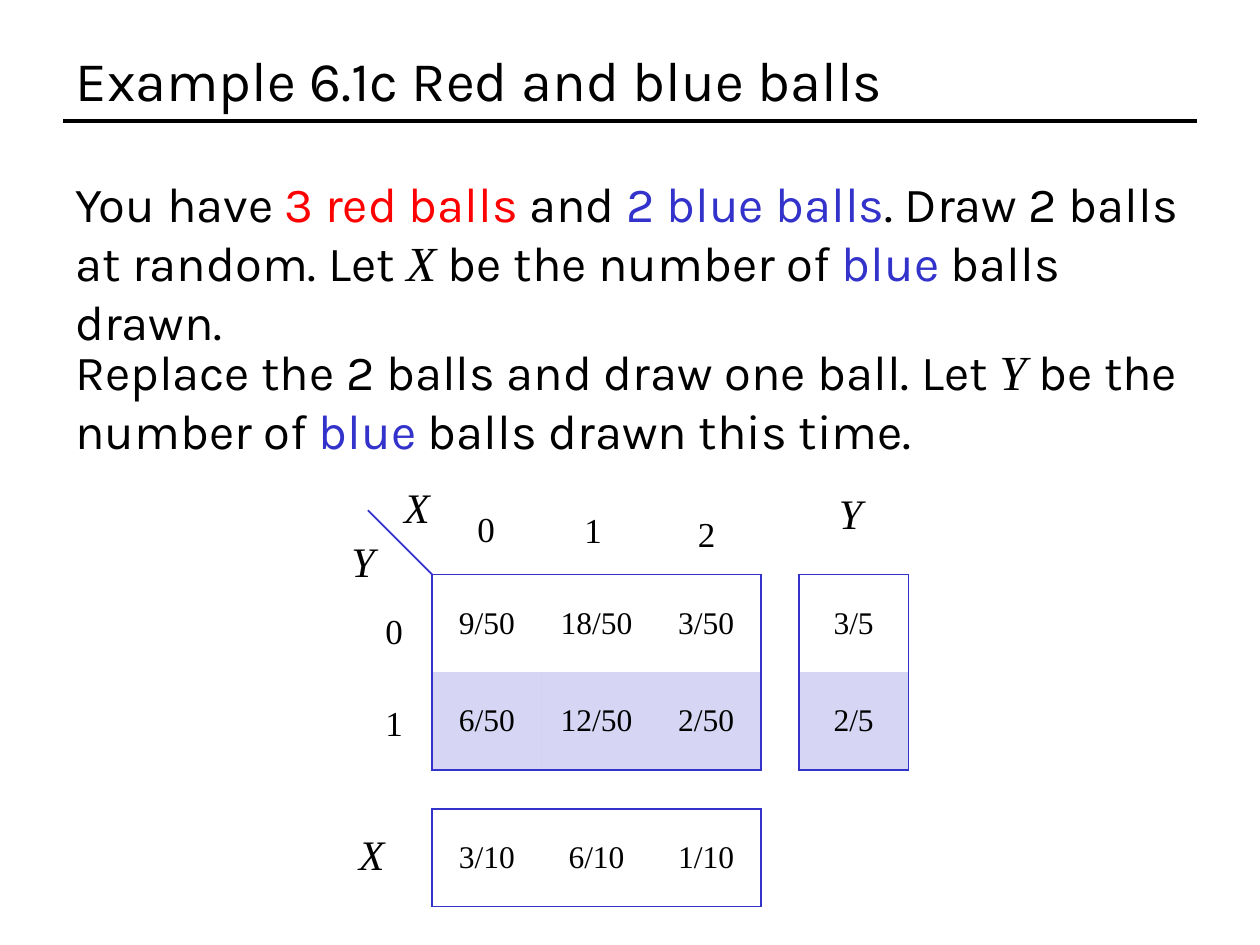
from dataclasses import dataclass

from lxml.etree import SubElement
from pptx import Presentation
from pptx.dml.color import RGBColor as Rgb
from pptx.enum.shapes import MSO_CONNECTOR as Conn
from pptx.enum.text import MSO_ANCHOR as Anchor, MSO_AUTO_SIZE as Fit, PP_ALIGN as Align
from pptx.oxml import parse_xml
from pptx.oxml.ns import nsdecls, qn
from pptx.util import Inches, Pt


@dataclass(frozen=True)
class Theme:
    black: str = "000000"
    red: str = "FF0000"
    blue: str = "3333CC"
    sans: str = "Karla"
    serif: str = "Times New Roman"
    title: int = 32
    body: int = 28
    name: int = 24
    value: int = 20
    cell: int = 18
    rule: int = 2
    edge: int = 1
    tint: int = 20


@dataclass(frozen=True)
class Run:
    text: str
    color: str = "000000"
    math: bool = False


@dataclass(frozen=True)
class Label:
    text: str
    left: float
    top: float
    name: bool = False


@dataclass(frozen=True)
class Grid:
    left: float
    top: float
    rows: tuple


THEME = Theme()
COL, ROW = 0.87, 0.775
LEFT, TOP = 3.43, 4.56

BODY = (
    (1.33, (
        Run("You have "), Run("3 red balls ", THEME.red), Run("and "),
        Run("2 blue balls", THEME.blue),
        Run(". Draw 2 balls at random. Let "), Run("X", math=True),
        Run(" be the number of "), Run("blue", THEME.blue), Run(" balls drawn."),
    )),
    (2.66, (
        Run("Replace the 2 balls and draw one ball. Let "), Run("Y", math=True),
        Run(" be the number of "), Run("blue", THEME.blue),
        Run(" balls drawn this time."),
    )),
)
GRIDS = (
    Grid(LEFT, TOP, (("9/50", "18/50", "3/50"), ("6/50", "12/50", "2/50"))),
    Grid(6.34, TOP, (("3/5",), ("2/5",))),
    Grid(LEFT, 6.42, (("3/10", "6/10", "1/10"),)),
)
AXES = (
    Label("0", 3.69, 3.98), Label("1", 4.54, 3.99), Label("2", 5.44, 4.02),
    Label("0", 2.96, 4.79), Label("1", 2.96, 5.52),
    Label("X", 3.11, 3.77, True), Label("Y", 2.69, 4.2, True),
)
TOTALS = (Label("X", 2.75, 6.53, True), Label("Y", 6.56, 3.82, True))


def write(para, text: str, *, size: int, font: str = THEME.serif,
          color: str = THEME.black, italic: bool = False, align=Align.LEFT) -> None:
    para.alignment = align
    run = para.add_run()
    run.text = text
    run.font.size, run.font.name = Pt(size), font
    run.font.italic, run.font.bold = italic, False
    run.font.color.rgb = Rgb.from_string(color)


def add_line(shapes, start: tuple, end: tuple, color: str, width: int) -> None:
    line = shapes.add_connector(Conn.STRAIGHT, *map(Inches, start + end))
    line.line.color.rgb = Rgb.from_string(color)
    line.line.width = Pt(width)
    SubElement(line._element.spPr, qn("a:effectLst"))


def add_body(shapes, top: float, runs: tuple) -> None:
    box = shapes.add_textbox(Inches(0.5), Inches(top), Inches(9), Inches(1.04))
    box.text_frame.word_wrap = True
    box.text_frame.auto_size = Fit.SHAPE_TO_FIT_TEXT
    for run in runs:
        write(box.text_frame.paragraphs[0], run.text, size=THEME.body,
              font=THEME.serif if run.math else THEME.sans,
              color=run.color, italic=run.math)


def add_label(shapes, label: Label) -> None:
    if label.name:
        wide, high = (0.53 if label.text == "X" else 0.5), 0.5
    else:
        wide, high = 0.33, 0.44
    box = shapes.add_textbox(*map(Inches, (label.left, label.top, wide, high)))
    box.text_frame.word_wrap = False
    box.text_frame.auto_size = Fit.SHAPE_TO_FIT_TEXT
    write(box.text_frame.paragraphs[0], label.text,
          size=THEME.name if label.name else THEME.value,
          italic=label.name, align=Align.LEFT if label.name else Align.CENTER)


def set_edges(cell, sides: dict) -> None:
    """Draw the sides that are true and hide the others."""
    props = cell._tc.get_or_add_tcPr()
    for spot, (side, shown) in enumerate(sides.items()):
        fill = (f'<a:solidFill><a:srgbClr val="{THEME.blue}"/></a:solidFill>'
                if shown else "<a:noFill/>")
        props.insert(spot, parse_xml(
            f'<a:ln{side} {nsdecls("a")} w="{Pt(THEME.edge)}">{fill}</a:ln{side}>'))


def shade(cell) -> None:
    cell.fill.solid()
    cell.fill.fore_color.rgb = Rgb.from_string(THEME.blue)
    color = cell._tc.tcPr.find(qn("a:solidFill")).find(qn("a:srgbClr"))
    SubElement(color, qn("a:alpha"), val=str(THEME.tint * 1000))


def add_grid(shapes, grid: Grid) -> None:
    """Add a table framed on the outside, with its second row tinted."""
    high, wide = len(grid.rows), len(grid.rows[0])
    table = shapes.add_table(high, wide, *map(Inches, (
        grid.left, grid.top, COL * wide, ROW * high))).table
    table.first_row = table.horz_banding = False
    for r, row in enumerate(grid.rows):
        for c, text in enumerate(row):
            cell = table.cell(r, c)
            cell.vertical_anchor = Anchor.MIDDLE
            write(cell.text_frame.paragraphs[0], text,
                  size=THEME.cell, align=Align.CENTER)
            if r == 1:
                shade(cell)
            else:
                cell.fill.background()
            set_edges(cell, {"L": c == 0, "R": c == wide - 1,
                             "T": r == 0, "B": r == high - 1})


def main() -> None:
    deck = Presentation()
    deck.slide_width, deck.slide_height = Inches(10), Inches(7.5)
    slide = deck.slides.add_slide(deck.slide_layouts[5])
    shapes = slide.shapes

    title = shapes.title
    title.left, title.top = Inches(0.5), Inches(0.3)
    title.width, title.height = Inches(9), Inches(0.66)
    title.text_frame.vertical_anchor = Anchor.MIDDLE
    title.text_frame.auto_size = Fit.NONE
    write(title.text_frame.paragraphs[0], "Example 6.1c Red and blue balls",
          size=THEME.title, font=THEME.sans)
    add_line(shapes, (0.5, 0.96), (9.5, 0.96), THEME.black, THEME.rule)

    for top, runs in BODY:
        add_body(shapes, top, runs)
    for grid in GRIDS:
        add_grid(shapes, grid)

    axes = shapes.add_group_shape().shapes
    add_line(axes, (LEFT, TOP), (2.92, 4.05), THEME.blue, THEME.edge)
    for label in AXES:
        add_label(axes, label)
    for label in TOTALS:
        add_label(shapes, label)

    deck.save("out.pptx")


if __name__ == "__main__":
    main()
